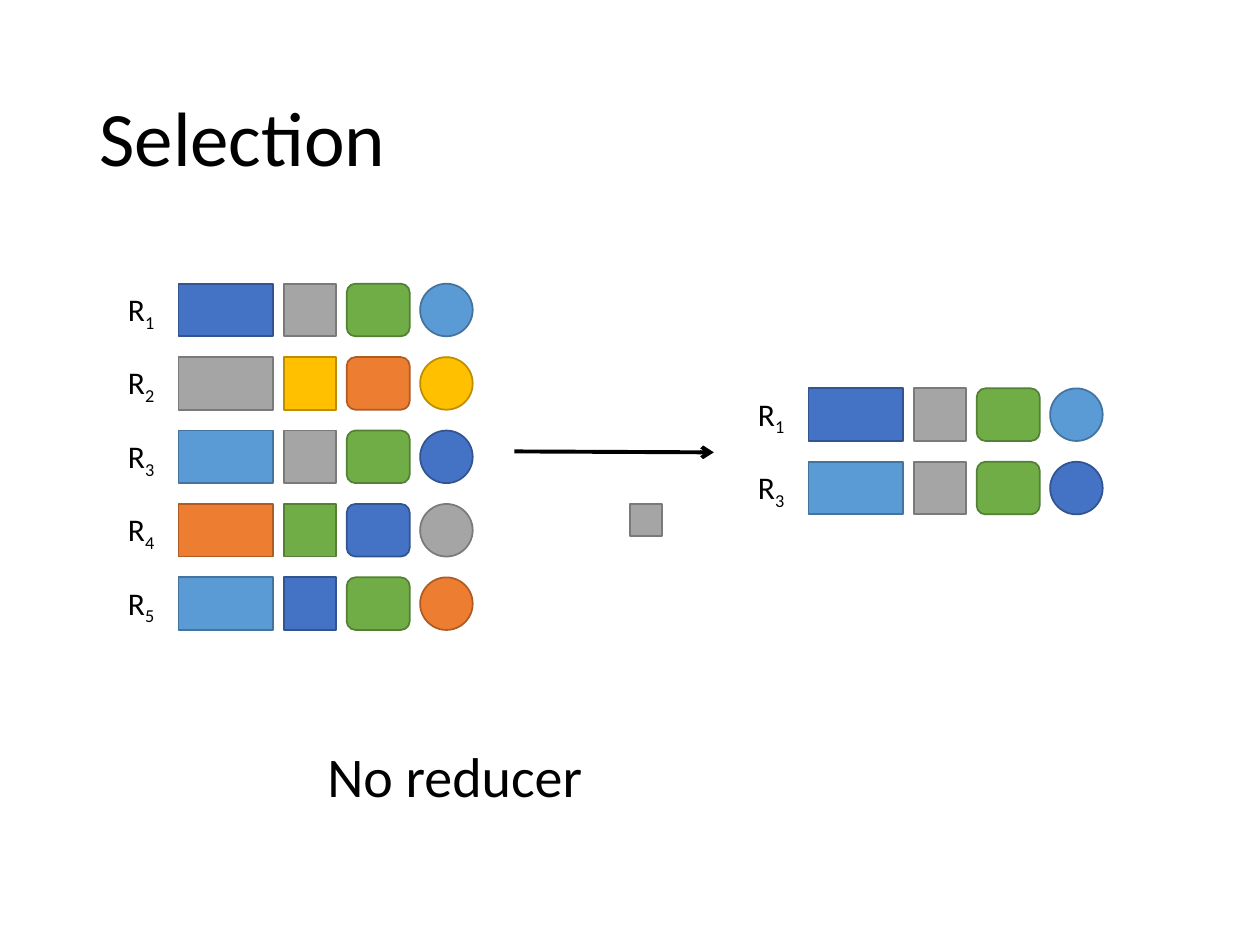
import dataclasses

import lxml.etree
import pptx
import pptx.dml.color
import pptx.enum.shapes
import pptx.enum.text
import pptx.oxml.ns
import pptx.util

Cm = pptx.util.Cm
SHAPE = pptx.enum.shapes.MSO_SHAPE
ANCHOR = pptx.enum.text.MSO_ANCHOR


@dataclasses.dataclass(frozen=True)
class Theme:
    """Colours as fill and outline pairs, font and sizes in points."""
    font: str = "Calibri"
    text: str = "000000"
    blue: tuple = ("4472C4", "325491")
    gray: tuple = ("A5A5A5", "7A7A7A")
    green: tuple = ("70AD47", "538035")
    sky: tuple = ("5B9BD5", "43739E")
    gold: tuple = ("FFC000", "BD8E00")
    orange: tuple = ("ED7D31", "AF5C24")
    title_size: float = 44
    note_size: float = 32
    label_size: float = 18
    outline: float = 1
    arrow: float = 2.25


THEME = Theme()
FIELDS = ((SHAPE.RECTANGLE, 1.91), (SHAPE.RECTANGLE, 1.06),
          (SHAPE.ROUNDED_RECTANGLE, 1.27), (SHAPE.OVAL, 1.06))
FIELD_HEIGHT, FIELD_GAP, LABEL_WIDTH, ROW_PITCH = 1.06, 0.21, 1.27, 1.48
RECORDS = {
    1: ("blue", "gray", "green", "sky"),
    2: ("gray", "gold", "orange", "gold"),
    3: ("sky", "gray", "green", "blue"),
    4: ("orange", "green", "blue", "gray"),
    5: ("sky", "blue", "green", "orange"),
}


def rgb(value):
    """Return the colour object for a hex value."""
    return pptx.dml.color.RGBColor.from_string(value)


def write_text(frame, text, size, subscript="", anchor=ANCHOR.TOP, wrap=True, spacing=None):
    """Fill a text frame with one left-aligned paragraph and an optional subscript."""
    frame.word_wrap = wrap
    frame.vertical_anchor = anchor
    paragraph = frame.paragraphs[0]
    paragraph.alignment = pptx.enum.text.PP_ALIGN.LEFT
    paragraph.line_spacing = spacing
    for part, baseline in ((text, None), (subscript, "-25000")):
        if part:
            run = paragraph.add_run()
            run.text = part
            run.font.name = THEME.font
            run.font.size = pptx.util.Pt(size)
            run.font.color.rgb = rgb(THEME.text)
            if baseline:
                run.font._element.set("baseline", baseline)


def add_text(slide, box, text, size, **formatting):
    """Add a text box at a box given in centimetres."""
    shape = slide.shapes.add_textbox(*map(Cm, box))
    write_text(shape.text_frame, text, size, **formatting)


def add_field(slide, kind, box, colors):
    """Add one filled and outlined field shape."""
    shape = slide.shapes.add_shape(kind, *map(Cm, box))
    shape.shadow.inherit = False
    fill, outline = colors
    shape.fill.solid()
    shape.fill.fore_color.rgb = rgb(fill)
    shape.line.color.rgb = rgb(outline)
    shape.line.width = pptx.util.Pt(THEME.outline)


def add_record(slide, left, top, number):
    """Place a labelled record with its row of fields."""
    add_text(slide, (left, top, 1.07, 1.02), "R", THEME.label_size,
             subscript=str(number), wrap=False)
    field_left = left + LABEL_WIDTH
    for (kind, width), color in zip(FIELDS, RECORDS[number]):
        add_field(slide, kind, (field_left, top, width, FIELD_HEIGHT), getattr(THEME, color))
        field_left += width + FIELD_GAP


def add_relation(slide, left, top, numbers):
    """Stack the numbered records from a top left corner."""
    for row, number in enumerate(numbers):
        add_record(slide, left, top + row * ROW_PITCH, number)


def add_selection(slide, left, top):
    """Place the selection arrow and the key of the selected value below it."""
    arrow = slide.shapes.add_connector(
        pptx.enum.shapes.MSO_CONNECTOR.STRAIGHT,
        Cm(left), Cm(top), Cm(left + 4.02), Cm(top + 0.02))
    arrow.line.color.rgb = rgb(THEME.text)
    arrow.line.width = pptx.util.Pt(THEME.arrow)
    qn = pptx.oxml.ns.qn
    lxml.etree.SubElement(arrow.line._get_or_add_ln(), qn("a:tailEnd"), type="arrow")
    lxml.etree.SubElement(arrow._element.spPr, qn("a:effectLst"))
    add_field(slide, SHAPE.RECTANGLE, (left + 2.33, top + 1.06, 0.64, 0.64), THEME.gray)


def add_title(slide, box, text):
    """Move and fill the title placeholder."""
    title = slide.shapes.title
    title.left, title.top, title.width, title.height = map(Cm, box)
    write_text(title.text_frame, text, THEME.title_size, anchor=ANCHOR.MIDDLE, spacing=0.9)


def main():
    """Build and save the slide."""
    presentation = pptx.Presentation()
    presentation.slide_width, presentation.slide_height = Cm(25.4), Cm(19.05)
    slide = presentation.slides.add_slide(presentation.slide_layouts[5])
    add_title(slide, (1.75, 1.01, 21.9, 3.68), "Selection")
    add_relation(slide, 2.33, 5.72, RECORDS)
    add_selection(slide, 10.37, 9.1)
    add_relation(slide, 15.03, 7.83, (1, 3))
    add_text(slide, (6.35, 14.82, 5.72, 1.62), "No reducer", THEME.note_size)
    presentation.save("out.pptx")


if __name__ == "__main__":
    main()
